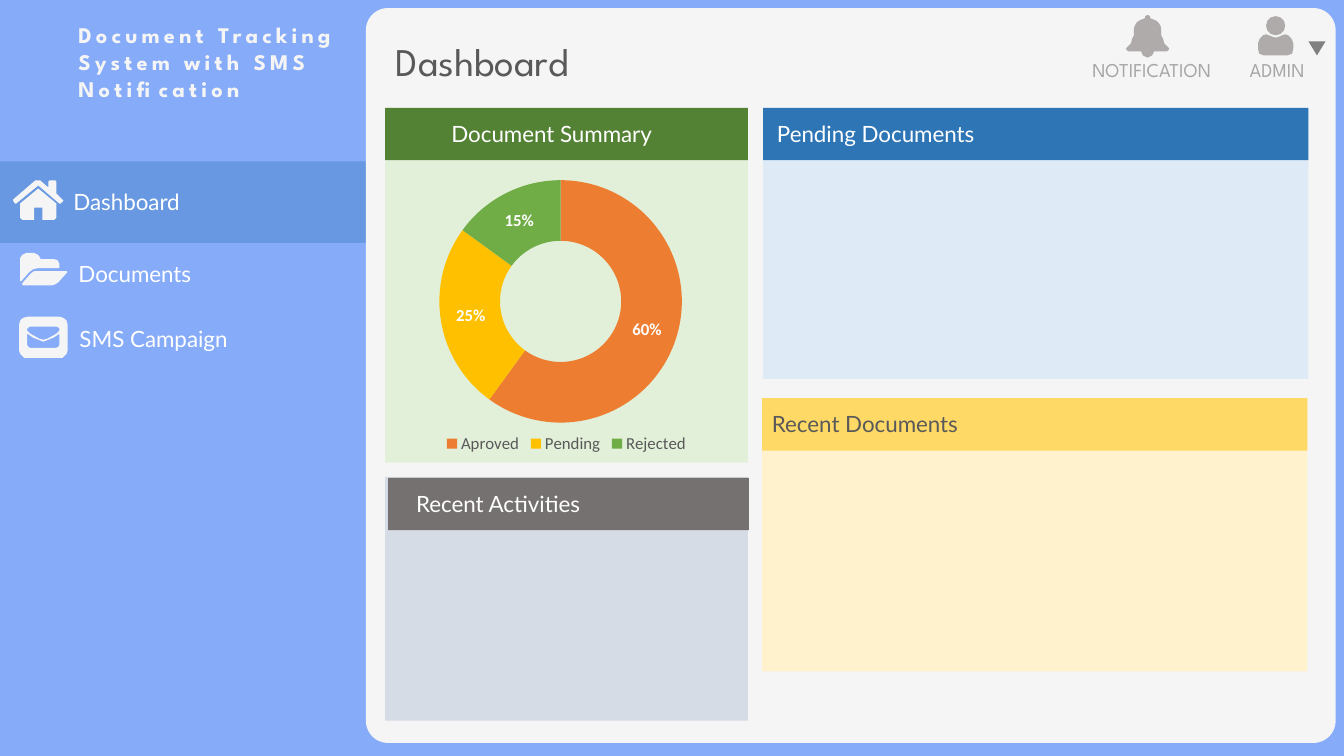
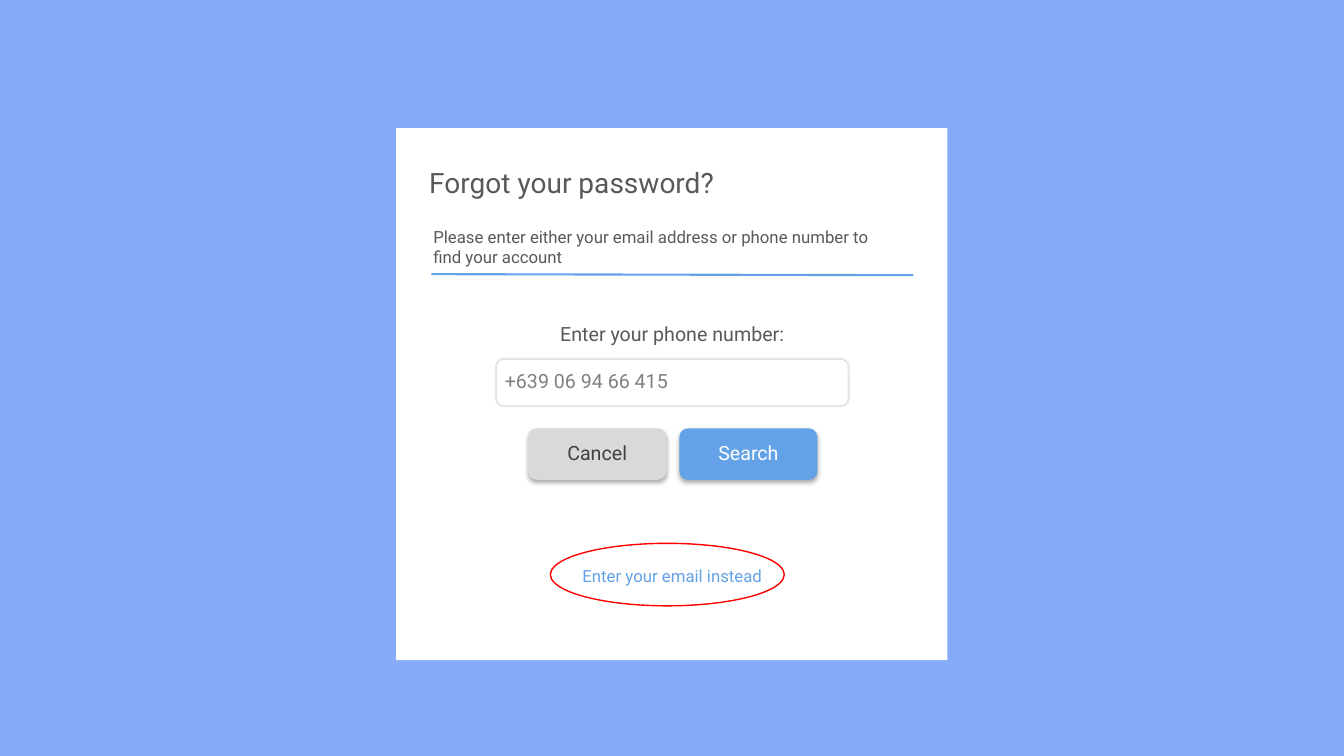
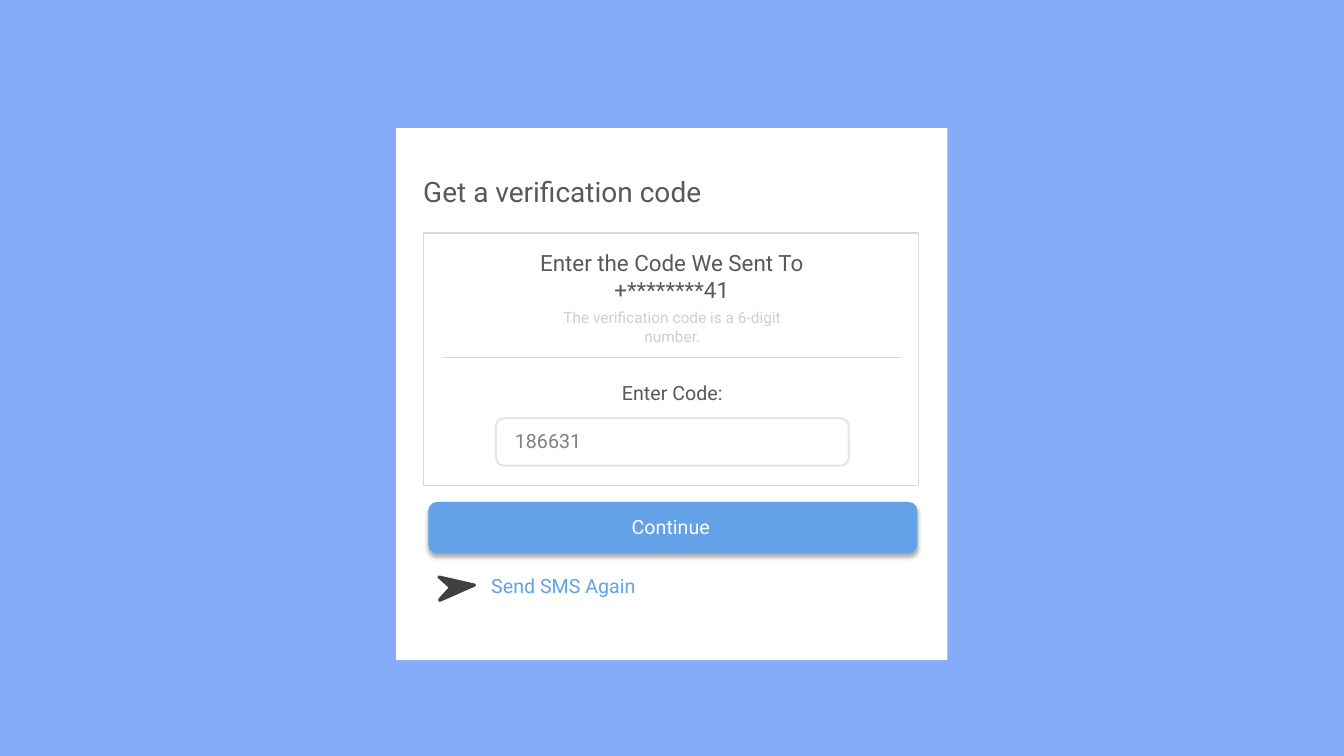
from lxml import etree
from pptx import Presentation
from pptx.chart.data import CategoryChartData
from pptx.dml.color import RGBColor
from pptx.enum.chart import XL_CHART_TYPE, XL_LEGEND_POSITION
from pptx.enum.shapes import MSO_CONNECTOR, MSO_SHAPE
from pptx.enum.text import MSO_AUTO_SIZE, PP_ALIGN
from pptx.oxml.ns import qn
from pptx.util import Inches, Pt

RECTANGLE = MSO_SHAPE.RECTANGLE
ROUNDED = MSO_SHAPE.ROUNDED_RECTANGLE
ELLIPSE = MSO_SHAPE.OVAL
TRIANGLE = MSO_SHAPE.ISOSCELES_TRIANGLE
STRAIGHT = MSO_CONNECTOR.STRAIGHT
DOUGHNUT = XL_CHART_TYPE.DOUGHNUT
LEGEND_TOP = XL_LEGEND_POSITION.TOP
CENTER = PP_ALIGN.CENTER
LEFT = PP_ALIGN.LEFT
GROW = MSO_AUTO_SIZE.SHAPE_TO_FIT_TEXT

CELL = Inches(0.1)
ICON_UNIT = Inches(0.01)
COLUMNS, ROWS = 133.33, 75

BACKDROP = "86ABF9"
PAPER = "F5F5F5"
WHITE = "FFFFFF"
DARK = "595959"
GREY = "808080"
BLUE = "63A2E7"
NAVY = "2E75B6"
RULE = "D9D9D9"
CHARCOAL = "404040"
LABEL = "A6A6A6"
ICON_GREY = "AFABAB"

HEADING = "League Spartan"
BODY = "Lato"
FORM = "Roboto"
CHART = "Calibri"
BAND_HEIGHT = 5.2


def colour(value):
    return RGBColor.from_string(value)


def cells(*values):
    return [round(value * CELL) for value in values]


def mirror(half, axis_sum):
    return half + [(axis_sum - x, y) for x, y in reversed(half)]


def paint(shape, fill=None, line=None, weight=1.5):
    shape.shadow.inherit = False
    if fill:
        shape.fill.solid()
        shape.fill.fore_color.rgb = colour(fill)
    else:
        shape.fill.background()
    if line:
        shape.line.color.rgb = colour(line)
        shape.line.width = Pt(weight)
    else:
        shape.line.fill.background()
    return shape


def add_block(page, at, kind=RECTANGLE, **style):
    return paint(page.shapes.add_shape(kind, *cells(*at)), **style)


def add_icon(page, contours, fill):
    first, *others = contours
    builder = page.shapes.build_freeform(*first[0], scale=ICON_UNIT)
    builder.add_line_segments(first[1:])
    for contour in others:
        builder.move_to(*contour[0])
        builder.add_line_segments(contour[1:])
    return paint(builder.convert_to_shape(), fill=fill)


def add_text(page, text, at, size=14, font=FORM, color=DARK, align=LEFT,
             bold=False, spacing=None):
    box = page.shapes.add_textbox(*cells(*at))
    frame = box.text_frame
    frame.word_wrap = True
    frame.auto_size = GROW
    para = frame.paragraphs[0]
    para.alignment = align
    span = para.add_run()
    span.text = text
    span.font.size = Pt(size)
    span.font.name = font
    span.font.bold = bold
    span.font.color.rgb = colour(color)
    if spacing:
        span.font._element.set("spc", str(spacing * 100))


def add_rule(page, start, end, color, weight):
    rule = page.shapes.add_connector(STRAIGHT, *cells(*start, *end))
    rule.line.color.rgb = colour(color)
    rule.line.width = Pt(weight)
    etree.SubElement(rule._element.spPr, qn("a:effectLst"))


def add_alpha(color_element, percent):
    etree.SubElement(color_element, qn("a:alpha"), val=str(percent * 1000))


def add_button(page, text, left, top, width, text_left, fill=BLUE, color=WHITE):
    button = add_block(page, (left, top, width, 5.1), ROUNDED, fill=fill)
    effects = button._element.spPr.find(qn("a:effectLst"))
    shadow = etree.SubElement(
        effects, qn("a:outerShdw"), blurRad=str(Pt(3.5)), dist=str(Pt(2.2)),
        dir="5400000", algn="t", rotWithShape="0")
    add_alpha(etree.SubElement(shadow, qn("a:srgbClr"), val="000000"), 32)
    add_text(page, text, (text_left, top + 0.8, 18.7, 3.4), color=color, align=CENTER)


def add_field(page, text, top, text_left):
    add_block(page, (49.2, top, 35, 4.7), ROUNDED, line="E6E6E6")
    add_text(page, text, (text_left, top + 0.55, 33.1, 3.4), color=GREY)


def add_panel(page, title, at, band_at, title_left, fill, band, color=WHITE):
    add_block(page, at, fill=fill)
    left, top, width = band_at
    add_block(page, (left, top, width, BAND_HEIGHT), fill=band)
    add_text(page, title, (title_left, top + 0.7, 24.6, 3.7), 16, BODY, color)


def place(parent, index, inner=False, **shares):
    for old in parent.findall(qn("c:layout")):
        parent.remove(old)
    layout = etree.Element(qn("c:layout"))
    manual = etree.SubElement(layout, qn("c:manualLayout"))
    if inner:
        etree.SubElement(manual, qn("c:layoutTarget"), val="inner")
    for mode in ("xMode", "yMode"):
        etree.SubElement(manual, qn(f"c:{mode}"), val="edge")
    for name, share in shares.items():
        etree.SubElement(manual, qn(f"c:{name}"), val=str(share))
    parent.insert(index, layout)


def format_chart_font(font, size, color, bold=False):
    font.name = CHART
    font.size = Pt(size)
    font.bold = bold
    font.color.rgb = colour(color)


def add_summary_chart(page, at, slices):
    data = CategoryChartData()
    data.categories = [name for name, _, _ in slices]
    data.add_series("Series 1", [value for _, value, _ in slices])
    chart = page.shapes.add_chart(DOUGHNUT, *cells(*at), data).chart
    chart.has_title = False
    format_chart_font(chart.font, 10, "000000")
    chart.has_legend = True
    chart.legend.position = LEGEND_TOP
    chart.legend.include_in_layout = False
    format_chart_font(chart.legend.font, 12, DARK)
    plot = chart.plots[0]
    plot.vary_by_categories = True
    for index, (_, _, color) in enumerate(slices):
        point = plot.series[0].points[index].format
        point.fill.solid()
        point.fill.fore_color.rgb = colour(color)
        point.line.fill.background()
    plot.has_data_labels = True
    labels = plot.data_labels
    labels.show_percentage = True
    labels.show_value = False
    labels.number_format = "0%"
    labels.number_format_is_linked = False
    format_chart_font(labels.font, 12, WHITE, True)
    place(chart.legend._element, 1, x=0.07, y=0.9, w=0.86, h=0.1)
    plot_area = chart._chartSpace.chart.plotArea
    place(plot_area, 0, inner=True, x=0.03, y=0.07, w=0.9, h=0.81)


def add_menu(page):
    highlight = add_block(page, (0, 16, 36.3, 8.1), fill=NAVY)
    add_alpha(highlight._element.spPr.find(".//" + qn("a:srgbClr")), 35)
    for text, left, top in (("Dashboard", 6.3, 18.2), ("Documents", 6.8, 25.3),
                            ("SMS Campaign", 6.9, 31.8)):
        add_text(page, text, (left, top, 19.8, 3.7), 16, BODY, WHITE)
    roof = [(38, 179), (40, 179), (48, 186), (48, 180), (49, 179), (55, 179),
            (56, 180), (56, 192), (62, 198), (63, 199), (60, 202), (59, 202),
            (38, 184), (16, 202), (15, 202), (13, 199), (13, 198), (35, 179)]
    walls = mirror([(38, 187), (55, 201), (56, 202), (56, 216), (54, 218),
                    (42, 218), (42, 206)], 76)
    flap = [(38, 269), (66, 269), (67, 270), (66, 271), (58, 280), (55, 282),
            (52, 283), (23, 283), (22, 282), (23, 280), (31, 271), (34, 269)]
    folder = [(26, 251), (34, 251), (38, 253), (40, 256), (40, 257), (53, 257),
              (57, 258), (59, 262), (59, 266), (38, 266), (33, 267), (29, 270),
              (21, 279), (20, 279), (20, 256), (22, 253)]
    frame = [(28, 314), (58, 314), (62, 315), (64, 316), (66, 318), (67, 322),
             (67, 348), (66, 351), (64, 353), (62, 355), (58, 355), (28, 355),
             (24, 355), (22, 353), (20, 351), (19, 348), (19, 322), (20, 318),
             (22, 316), (24, 315)]
    lid = mirror([(43, 337), (47, 336), (56, 331), (59, 328), (59, 326),
                  (58, 325), (56, 324)], 86)
    pocket = mirror([(43, 339), (48, 337), (53, 335), (59, 331), (59, 342),
                     (58, 344), (56, 345)], 86)
    for contours in ([roof, walls], [flap, folder], [frame, lid, pocket]):
        add_icon(page, contours, PAPER)


def add_account_bar(page):
    bell = mirror([(1139, 15), (1141, 16), (1141, 18), (1146, 20), (1149, 22),
                   (1151, 25), (1152, 28), (1152, 35), (1154, 39), (1155, 43),
                   (1158, 46), (1160, 48), (1159, 50), (1157, 51), (1145, 51),
                   (1143, 55), (1139, 57)], 2277)
    shoulders = mirror([(1267, 37), (1270, 36), (1272, 35), (1275, 34),
                        (1278, 35), (1281, 38), (1282, 40), (1283, 43),
                        (1283, 48), (1282, 53), (1280, 54), (1277, 55)], 2531)
    add_icon(page, [bell], ICON_GREY)
    add_icon(page, [shoulders], ICON_GREY)
    add_block(page, (125.6, 1.6, 1.9, 1.9), ELLIPSE, fill=ICON_GREY)
    arrow = add_block(page, (129.8, 4.1, 1.7, 1.4), TRIANGLE, fill=GREY)
    arrow.rotation = 180
    for text, left, width in (("NOTIFICATION", 105.3, 17.9), ("ADMIN", 119.6, 14.2)):
        add_text(page, text, (left, 5.3, width, 3.4), font=HEADING, color=LABEL,
                 align=CENTER)


def build_dashboard(page):
    add_menu(page)
    sheet = add_block(page, (36.3, 0.8, 96.2, 72.9), ROUNDED, fill=PAPER)
    sheet.adjustments[0] = 0.03
    add_text(page, "Document Tracking System with SMS Notification",
             (6.8, 1.6, 31.4, 9.1), 16, HEADING, PAPER, bold=True, spacing=3)
    add_text(page, "Dashboard", (38.3, 3.2, 24.7, 5.7), 28, HEADING)
    add_account_bar(page)
    add_panel(page, "Document Summary", (38.2, 10.7, 36, 35.2),
              (38.2, 10.7, 36), 43.8, "E2F0D9", "548235")
    add_panel(page, "Pending Documents", (75.7, 10.7, 54.1, 26.9),
              (75.7, 10.7, 54.1), 76.1, "DEEBF7", NAVY)
    add_panel(page, "Recent Documents", (75.6, 39.7, 54.1, 26.9),
              (75.6, 39.5, 54.1), 75.6, "FFF2CC", "FFD966", DARK)
    add_panel(page, "Recent Activities", (38.2, 47.3, 36, 24.2),
              (38.5, 47.4, 35.8), 40.3, "D6DCE5", "767171")
    add_summary_chart(page, (41.7, 15.8, 29, 29.7), [
        ("Aproved", 60, "ED7D31"), ("Pending", 25, "FFC000"),
        ("Rejected", 15, "70AD47")])


def add_dialog(page, title, left, top):
    add_block(page, (39.3, 12.7, 54.7, 52.8), fill=WHITE)
    add_text(page, title, (left, top, 38.2, 4.4), 20)


def build_password_form(page):
    add_dialog(page, "Forgot your password?", 41.6, 15.9)
    add_text(page, "Please enter either your email address or phone number to "
             "find your account", (42, 22, 45.9, 5), 12)
    add_rule(page, (42.8, 27.2), (90.6, 27.3), BLUE, 1.5)
    add_text(page, "Enter your phone number:", (52.2, 31.4, 29, 3.4), align=CENTER)
    add_field(page, "+639 06 94 66 415", 35.6, 49.1)
    add_button(page, "Cancel", 52.4, 42.5, 13.7, 49.9, RULE, CHARCOAL)
    add_button(page, "Search", 67.4, 42.5, 13.7, 64.9)
    add_text(page, "Enter your email instead", (52.2, 55.6, 29, 3), 12,
             color=BLUE, align=CENTER)
    add_block(page, (54.6, 53.9, 23.2, 6.2), ELLIPSE, line="FF0000", weight=1)


def build_code_form(page):
    add_dialog(page, "Get a verification code", 41, 16.8)
    add_text(page, "Enter the Code We Sent To +********41",
             (50.3, 24.2, 32.7, 6.4), 16, align=CENTER)
    add_block(page, (42, 23.1, 49.1, 25.1), line=RULE, weight=1)
    add_text(page, "The verification code is a 6-digit number.",
             (52.2, 30.1, 29, 4.7), 11, color="D0CECE", align=CENTER)
    add_rule(page, (43.8, 35.5), (89.5, 35.5), RULE, 0.75)
    add_text(page, "Enter Code:", (52.2, 37.3, 29, 3.4), align=CENTER)
    add_field(page, "186631", 41.5, 50.1)
    add_button(page, "Continue", 42.5, 49.8, 48.5, 57.2)
    plane = [(471, 579), (472, 580), (472, 581), (471, 582), (437, 597),
             (435, 597), (435, 594), (445, 583), (435, 574), (434, 573),
             (435, 571), (436, 571)]
    add_icon(page, [plane], CHARCOAL)
    add_text(page, "Send SMS Again", (41.4, 56.4, 29, 3.4), color=BLUE, align=CENTER)


def main():
    deck = Presentation()
    deck.slide_width, deck.slide_height = cells(COLUMNS, ROWS)
    backdrop = deck.slide_master.background.fill
    backdrop.solid()
    backdrop.fore_color.rgb = colour(BACKDROP)
    for build in (build_dashboard, build_password_form, build_code_form):
        build(deck.slides.add_slide(deck.slide_layouts[6]))
    deck.save("out.pptx")


if __name__ == "__main__":
    main()
